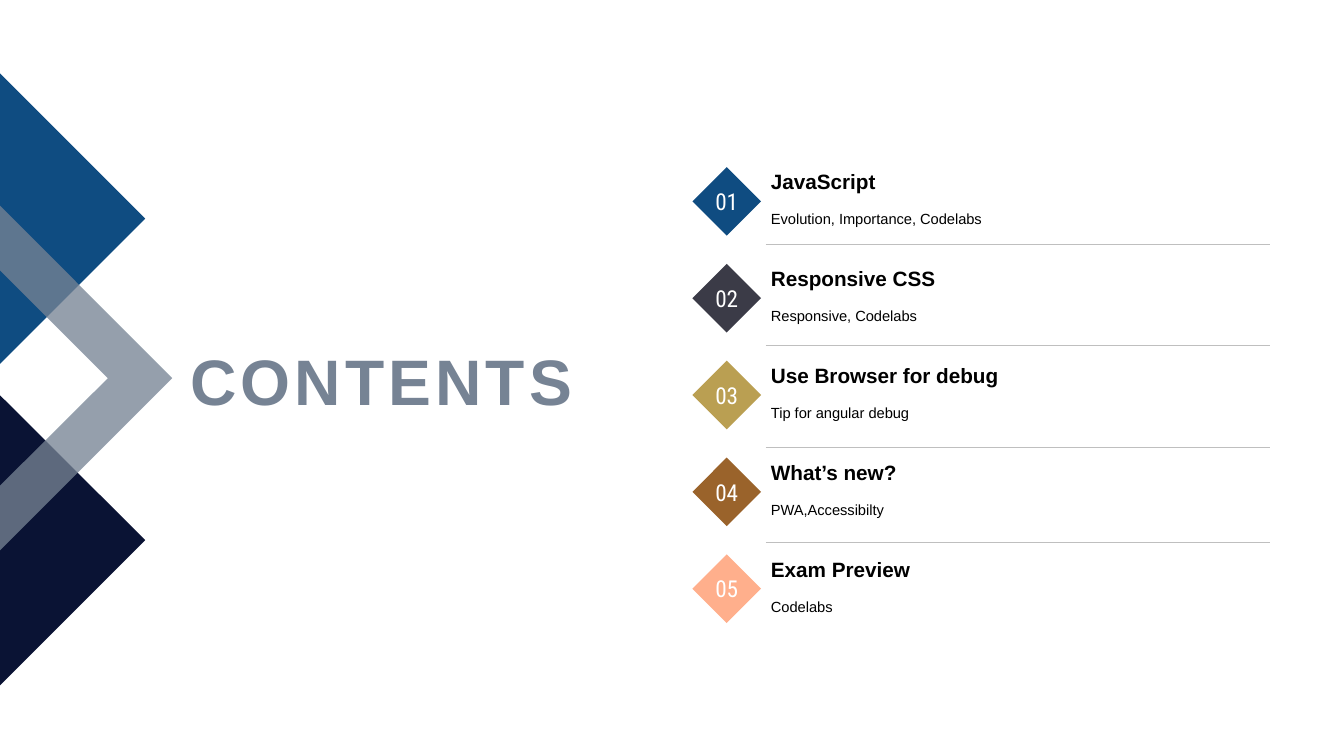
from lxml import etree
from pptx import Presentation
from pptx.dml.color import RGBColor
from pptx.enum.shapes import MSO_CONNECTOR, MSO_SHAPE
from pptx.enum.text import MSO_ANCHOR, MSO_AUTO_SIZE, PP_ALIGN
from pptx.oxml.ns import qn
from pptx.util import Cm, Pt

DIAMOND, STRAIGHT = MSO_SHAPE.DIAMOND, MSO_CONNECTOR.STRAIGHT
MIDDLE, BOTTOM = MSO_ANCHOR.MIDDLE, MSO_ANCHOR.BOTTOM
LEFT, CENTER, RIGHT = PP_ALIGN.LEFT, PP_ALIGN.CENTER, PP_ALIGN.RIGHT
NO_AUTOFIT = MSO_AUTO_SIZE.NONE


def color(hex_code):
    return RGBColor.from_string(hex_code)


def write(box, text, size, hex_code, anchor, align, font="Arial", bold=False, wrap=True):
    frame = box.text_frame
    frame.text = text
    frame.word_wrap = wrap
    frame.auto_size = NO_AUTOFIT
    frame.vertical_anchor = anchor
    para = frame.paragraphs[0]
    para.alignment = align
    span = para.runs[0]
    span.font.size, span.font.name, span.font.bold = Pt(size), font, bold
    span.font.color.rgb = color(hex_code)
    return para


deck = Presentation()
deck.slide_width, deck.slide_height = Cm(33.87), Cm(19.05)
page = deck.slides.add_slide(deck.slide_layouts[5])
shapes = page.shapes

# Title
title = shapes.title
title.left, title.top, title.width, title.height = Cm(4.29), Cm(8.28), Cm(10.39), Cm(2.57)
heading = write(title, "CONTENTS", 45.9, "768394", MIDDLE, RIGHT, bold=True, wrap=False)
heading.runs[0]._r.get_or_add_rPr().set("spc", "300")

# Arrow shapes on the left edge: fill, opacity in percent, corners in cm
edge_shapes = [
    ("0A1334", 100, [(0, 9.96), (3.66, 13.61), (0, 17.27)]),
    ("0F4C81", 100, [(0, 1.85), (3.66, 5.51), (0, 9.17)]),
    ("768394", 77, [(0, 5.18), (4.34, 9.53), (0, 13.87),
                    (0, 12.24), (2.72, 9.53), (0, 6.81)]),
]
for fill, opacity, corners in edge_shapes:
    points = [(Cm(x), Cm(y)) for x, y in corners]
    builder = shapes.build_freeform(*points[0])
    builder.add_line_segments(points[1:], close=True)
    chevron = builder.convert_to_shape()
    chevron.shadow.inherit = False
    chevron.fill.solid()
    chevron.fill.fore_color.rgb = color(fill)
    chevron.line.fill.background()
    if opacity < 100:
        fill_color = chevron._element.spPr.find(".//" + qn("a:srgbClr"))
        etree.SubElement(fill_color, qn("a:alpha")).set("val", str(opacity * 1000))

# Numbered topics
topics = [
    ("JavaScript", "Evolution, Importance, Codelabs", "0F4C81"),
    ("Responsive CSS", "Responsive, Codelabs", "3B3B47"),
    ("Use Browser for debug", "Tip for angular debug", "BA9F52"),
    ("What’s new?", "PWA,Accessibilty", "9A632B"),
    ("Exam Preview", "Codelabs", "FFAF8C"),
]
for index, (topic, detail, fill) in enumerate(topics):
    top = 4.21 + 2.44 * index
    badge = shapes.add_shape(DIAMOND, Cm(17.45), Cm(top), Cm(1.73), Cm(1.73))
    badge.shadow.inherit = False
    badge.fill.solid()
    badge.fill.fore_color.rgb = color(fill)
    badge.line.fill.background()
    write(badge, f"{index + 1:02}", 16.6, "FFFFFF", MIDDLE, CENTER,
          font="Roboto Condensed", wrap=False)

    topic_box = shapes.add_textbox(Cm(19.18), Cm(top - 0.04), Cm(11), Cm(0.84))
    write(topic_box, topic, 14.8, "000000", BOTTOM, LEFT, bold=True)
    detail_box = shapes.add_textbox(Cm(19.18), Cm(top + 0.82), Cm(11), Cm(0.89))
    write(detail_box, detail, 10.5, "000000", MIDDLE, LEFT).line_spacing = 1.2

# Divider lines
for y in (6.15, 8.71, 11.28, 13.67):
    divider = shapes.add_connector(STRAIGHT, Cm(19.3), Cm(y), Cm(32), Cm(y))
    divider.line.color.rgb = color("BFBFBF")
    divider.line.width = Pt(0.25)
    etree.SubElement(divider._element.spPr, qn("a:effectLst"))

deck.save("out.pptx")
